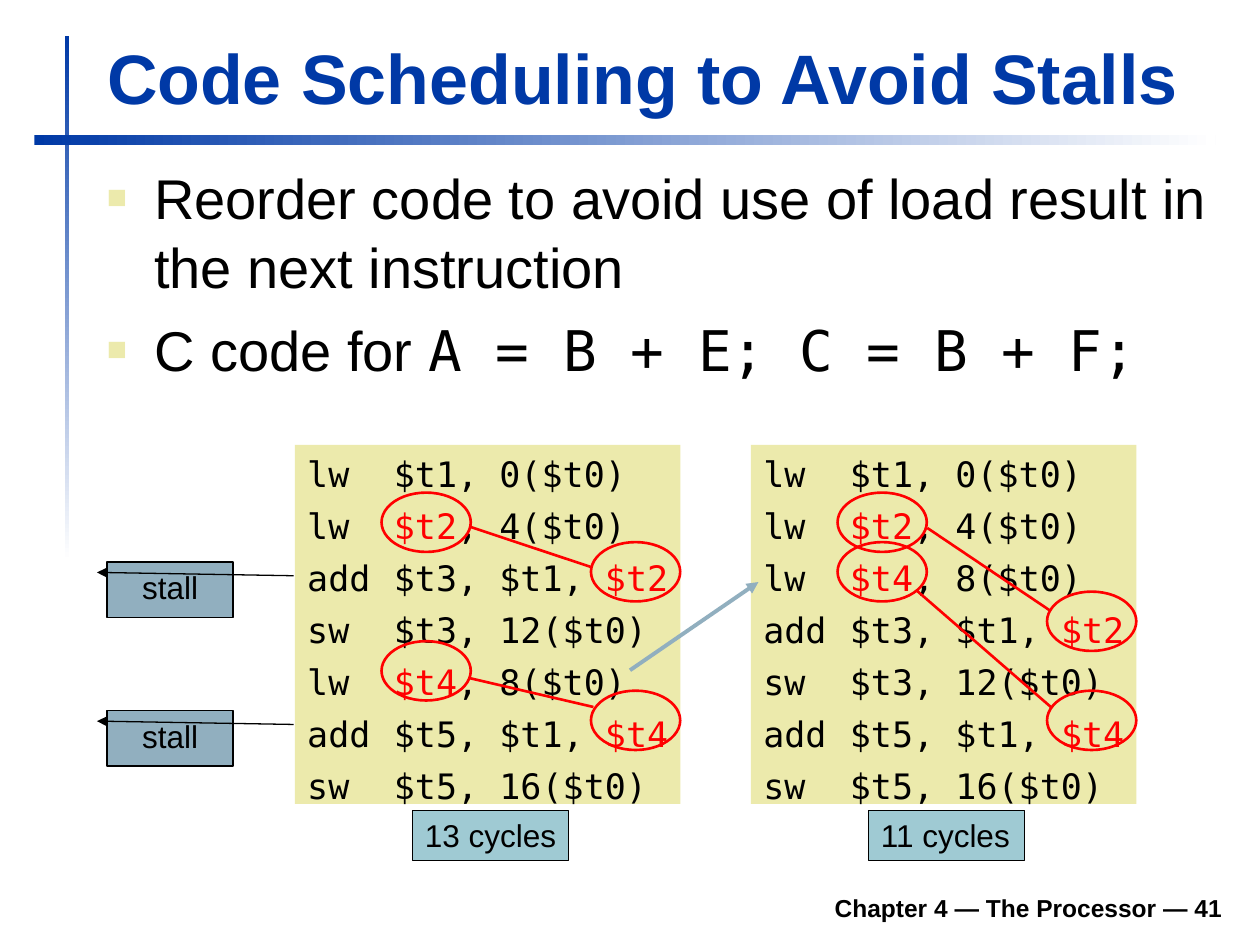
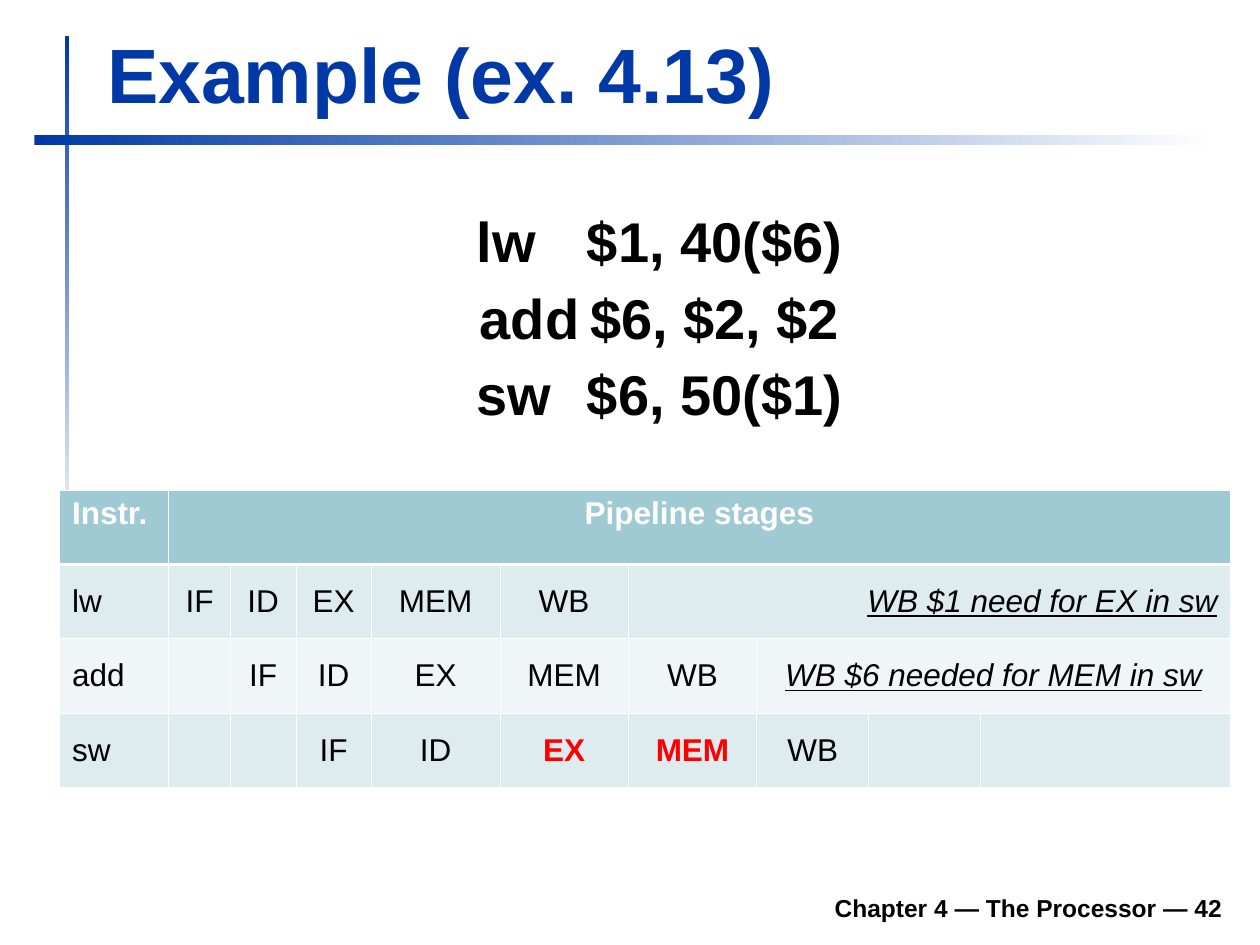
from dataclasses import dataclass

from lxml import etree
from pptx import Presentation
from pptx.dml.color import RGBColor
from pptx.enum import shapes, text
from pptx.oxml import ns
from pptx.util import Pt


@dataclass(frozen=True)
class Theme:
    blue: RGBColor = RGBColor(0x00, 0x39, 0xA6)
    black: RGBColor = RGBColor(0x00, 0x00, 0x00)
    white: RGBColor = RGBColor(0xFF, 0xFF, 0xFF)
    red: RGBColor = RGBColor(0xFF, 0x00, 0x00)
    sand: RGBColor = RGBColor(0xEC, 0xEA, 0xAC)
    steel: RGBColor = RGBColor(0x91, 0xAF, 0xBF)
    teal: RGBColor = RGBColor(0x9F, 0xCA, 0xD3)
    row_dark: RGBColor = RGBColor(0xDF, 0xEC, 0xEF)
    row_light: RGBColor = RGBColor(0xF0, 0xF6, 0xF7)
    sans: str = "Arial"
    mono: str = "DejaVu Sans Mono"
    body: int = 32
    code: int = 20
    label: int = 18
    footer: int = 14


THEME = Theme()
LEFT, CENTER, RIGHT = text.PP_ALIGN.LEFT, text.PP_ALIGN.CENTER, text.PP_ALIGN.RIGHT
TOP, MIDDLE, BOTTOM = text.MSO_ANCHOR.TOP, text.MSO_ANCHOR.MIDDLE, text.MSO_ANCHOR.BOTTOM
KIND = shapes.MSO_SHAPE


def add_xml(parent, tag, **attributes):
    return etree.SubElement(parent, ns.qn(f"a:{tag}"), attributes)


def write(frame, lines, size, align=LEFT, color=THEME.black, bold=False, font=THEME.sans,
          anchor=TOP, wrap=True, gap=0, spacing=None, hanging=False, bullet=None,
          tab=None, accent_color=None, accent_font=None):
    """Fill a frame; every second piece between bars in a line is accented."""
    frame.word_wrap = wrap
    frame.auto_size = text.MSO_AUTO_SIZE.NONE
    frame.vertical_anchor = anchor
    for index, line in enumerate(lines):
        paragraph = frame.paragraphs[0] if index == 0 else frame.add_paragraph()
        paragraph.alignment = align
        properties = paragraph._p.get_or_add_pPr()
        if hanging:
            properties.set("marL", str(Pt(27)))
            properties.set("indent", str(Pt(-27)))
        if bullet:
            add_xml(add_xml(properties, "buClr"), "srgbClr", val=str(THEME.sand))
            add_xml(properties, "buSzPct", val="60000")
            add_xml(properties, "buFont", typeface=THEME.sans)
            add_xml(properties, "buChar", char=bullet)
        if tab:
            add_xml(add_xml(properties, "tabLst"), "tab", pos=str(Pt(tab)), algn="l")
        if spacing:
            paragraph.line_spacing = spacing
        if index and gap:
            paragraph.space_before = Pt(gap)
        paragraph.font.size = Pt(size)
        paragraph.font.bold = bold
        paragraph.font.name = font
        paragraph.font.color.rgb = color
        for position, piece in enumerate(line.split("|")):
            if not piece:
                continue
            run = paragraph.add_run()
            run.text = piece
            if position % 2 and accent_color:
                run.font.color.rgb = accent_color
            if position % 2 and accent_font:
                run.font.name = accent_font


deck = Presentation()
deck.slide_width, deck.slide_height = Pt(720), Pt(540)
layout = deck.slide_layouts[5]

# Titles and footers
slides = []
for number, title, size in ((41, "Code Scheduling to Avoid Stalls", 40),
                            (42, "Example (ex. 4.13)", 44)):
    slide = deck.slides.add_slide(layout)
    heading = slide.shapes.title
    heading.left, heading.top, heading.width, heading.height = Pt(54), Pt(11.5), Pt(650), Pt(60)
    write(heading.text_frame, [title], size, color=THEME.blue, bold=True, anchor=BOTTOM)
    footer = slide.shapes.add_textbox(Pt(133.2), Pt(502.6), Pt(572.4), Pt(28))
    write(footer.text_frame, [f"Chapter 4 — The Processor — {number}"], THEME.footer,
          align=RIGHT, bold=True, anchor=BOTTOM)
    slides.append(slide)
scheduling, example = slides

# Fading bands, moved to the shared layout
for shape_id, box, angle in ((20, (36.9, 20.4, 2.6, 300), 270), (21, (19.6, 77, 675, 5.8), 0)):
    band = scheduling.shapes.add_shape(KIND.RECTANGLE, *map(Pt, box))
    band.shadow.inherit = False
    band.line.fill.background()
    band.fill.gradient()
    band.fill.gradient_angle = angle
    for stop, color in zip(band.fill.gradient_stops, (THEME.blue, THEME.white)):
        stop.color.rgb = color
    band.element.nvSpPr.cNvPr.id = shape_id
    layout.shapes.element.append(band.element)

# Slide 41: bullets
points = scheduling.shapes.add_textbox(Pt(54), Pt(88.6), Pt(651), Pt(145.4))
write(points.text_frame,
      ["Reorder code to avoid use of load result in the next instruction",
       "C code for |A = B + E; C = B + F;"],
      THEME.body, gap=8, spacing=1.03, hanging=True, bullet="■", accent_font=THEME.mono)

# Slide 41: code before and after; bars enclose the registers that depend on a load
before = ["lw\t$t1, 0($t0)", "lw\t|$t2|, 4($t0)", "add\t$t3, $t1, |$t2|",
          "sw\t$t3, 12($t0)", "lw\t|$t4|, 8($t0)", "add\t$t5, $t1, |$t4|",
          "sw\t$t5, 16($t0)"]
after = before[:2] + [before[4]] + before[2:4] + before[5:]
# Each link runs from a load to its use, measured from the left of the listing
listings = (
    (168.5, before, "13 cycles", ((100, 301, 169.2, 324), (99.4, 387.4, 170.6, 404))),
    (429.1, after, "11 cycles", ((100.8, 301.7, 171.4, 349.2), (95, 337.7, 171.4, 404))),
)
for left, code, cycles, links in listings:
    listing = scheduling.shapes.add_shape(KIND.RECTANGLE, Pt(left), Pt(254.2), Pt(220.3), Pt(205.2))
    listing.shadow.inherit = False
    listing.fill.solid()
    listing.fill.fore_color.rgb = THEME.sand
    listing.line.fill.background()
    write(listing.text_frame, code, THEME.code, font=THEME.mono, wrap=False, gap=5,
          spacing=1.03, tab=49.5, accent_color=THEME.red)

    for row, line in enumerate(code):
        if "|" not in line:
            continue
        offset = 49.5 if line.startswith("lw") else 169.2
        ring = scheduling.shapes.add_shape(KIND.OVAL, Pt(left + offset),
                                           Pt(281.5 + 28.3 * (row - 1)), Pt(51), Pt(33.9))
        ring.shadow.inherit = False
        ring.fill.background()
        ring.line.color.rgb = THEME.red
        ring.line.width = Pt(1.5)

    for x1, y1, x2, y2 in links:
        link = scheduling.shapes.add_connector(shapes.MSO_CONNECTOR.STRAIGHT,
                                               Pt(left + x1), Pt(y1), Pt(left + x2), Pt(y2))
        link.line.color.rgb = THEME.red
        link.line.width = Pt(1.5)
        add_xml(link.element.spPr, "effectLst")

    total = scheduling.shapes.add_shape(KIND.RECTANGLE, Pt(left + 67.2), Pt(463), Pt(89.3), Pt(28.8))
    total.shadow.inherit = False
    total.fill.solid()
    total.fill.fore_color.rgb = THEME.teal
    total.line.color.rgb = THEME.black
    total.line.width = Pt(0.75)
    write(total.text_frame, [cycles], THEME.label, wrap=False)

# Slide 41: stalls
for top in (321.1, 406.1):
    stall = scheduling.shapes.add_shape(KIND.LINE_CALLOUT_1, Pt(61.2), Pt(top), Pt(72), Pt(31.7))
    stall.shadow.inherit = False
    for index, value in enumerate((0.19, -0.08, 0.25, 1.48)):
        stall.adjustments[index] = value
    stall.fill.solid()
    stall.fill.fore_color.rgb = THEME.steel
    stall.line.color.rgb = THEME.black
    stall.line.width = Pt(0.75)
    add_xml(stall.element.spPr.find(ns.qn("a:ln")), "headEnd", type="triangle")
    write(stall.text_frame, ["stall"], THEME.label, align=CENTER)

# Slide 41: the load that moves up
move = scheduling.shapes.add_connector(shapes.MSO_CONNECTOR.STRAIGHT,
                                       Pt(360), Pt(383), Pt(433.4), Pt(332.6))
move.line.color.rgb = THEME.steel
move.line.width = Pt(2.25)
add_xml(move.element.spPr.find(ns.qn("a:ln")), "tailEnd", type="triangle")
add_xml(move.element.spPr, "effectLst")

# Slide 42: instructions
instructions = example.shapes.add_textbox(Pt(51.1), Pt(118.1), Pt(651.6), Pt(141.8))
write(instructions.text_frame, ["lw\t$1, 40($6)", "add\t$6, $2, $2", "sw\t$6, 50($1)"],
      THEME.body, align=CENTER, bold=True, gap=8, spacing=0.93, hanging=True, tab=72)

# Slide 42: pipeline table, with the text of each row by column
stage_rows = (
    {0: "Instr.", 1: "Pipeline stages"},
    {0: "lw", 1: "IF", 2: "ID", 3: "EX", 4: "MEM", 5: "WB", 6: "WB $1 need for EX in sw"},
    {0: "add", 2: "IF", 3: "ID", 4: "EX", 5: "MEM", 6: "WB", 7: "WB $6 needed for MEM in sw"},
    {0: "sw", 3: "IF", 4: "ID", 5: "EX", 6: "MEM", 7: "WB"},
)
row_fills = (THEME.teal, THEME.row_dark, THEME.row_light, THEME.row_dark)
widths = (62.4, 35.3, 37.4, 43.2, 73.4, 73.4, 73.4, 64, 64, 142.5)
notes = {(1, 6), (2, 7)}
hazards = {(3, 5), (3, 6)}
pipeline = example.shapes.add_table(len(stage_rows), len(widths), Pt(34), Pt(280),
                                    Pt(sum(widths)), Pt(42.5 * len(stage_rows))).table
for column, width in zip(pipeline.columns, widths):
    column.width = Pt(width)
for row, entries in enumerate(stage_rows):
    pipeline.rows[row].height = Pt(42.5)
    for column in range(len(widths)):
        cell = pipeline.cell(row, column)
        for side in "LRTB":
            heavy = (row, side) in ((0, "B"), (1, "T"))
            border = add_xml(cell._tc.get_or_add_tcPr(), f"ln{side}",
                             w=str(Pt(1.47 if heavy else 0.45)))
            add_xml(add_xml(border, "solidFill"), "srgbClr", val=str(THEME.white))
        cell.fill.solid()
        cell.fill.fore_color.rgb = row_fills[row]
        if column not in entries:
            continue
        place = (row, column)
        cell.vertical_anchor = MIDDLE if row else TOP
        paragraph = cell.text_frame.paragraphs[0]
        paragraph.text = entries[column]
        paragraph.alignment = LEFT if column == 0 else RIGHT if place == (1, 6) else CENTER
        font = paragraph.font
        font.name, font.size = THEME.sans, Pt(THEME.label)
        font.bold = row == 0 or place in hazards
        font.italic = font.underline = place in notes
        font.color.rgb = (THEME.white if row == 0 else
                          THEME.red if place in hazards else THEME.black)
for row, first in ((0, 1), *sorted(notes)):
    pipeline.cell(row, first).merge(pipeline.cell(row, len(widths) - 1))

deck.save("out.pptx")
